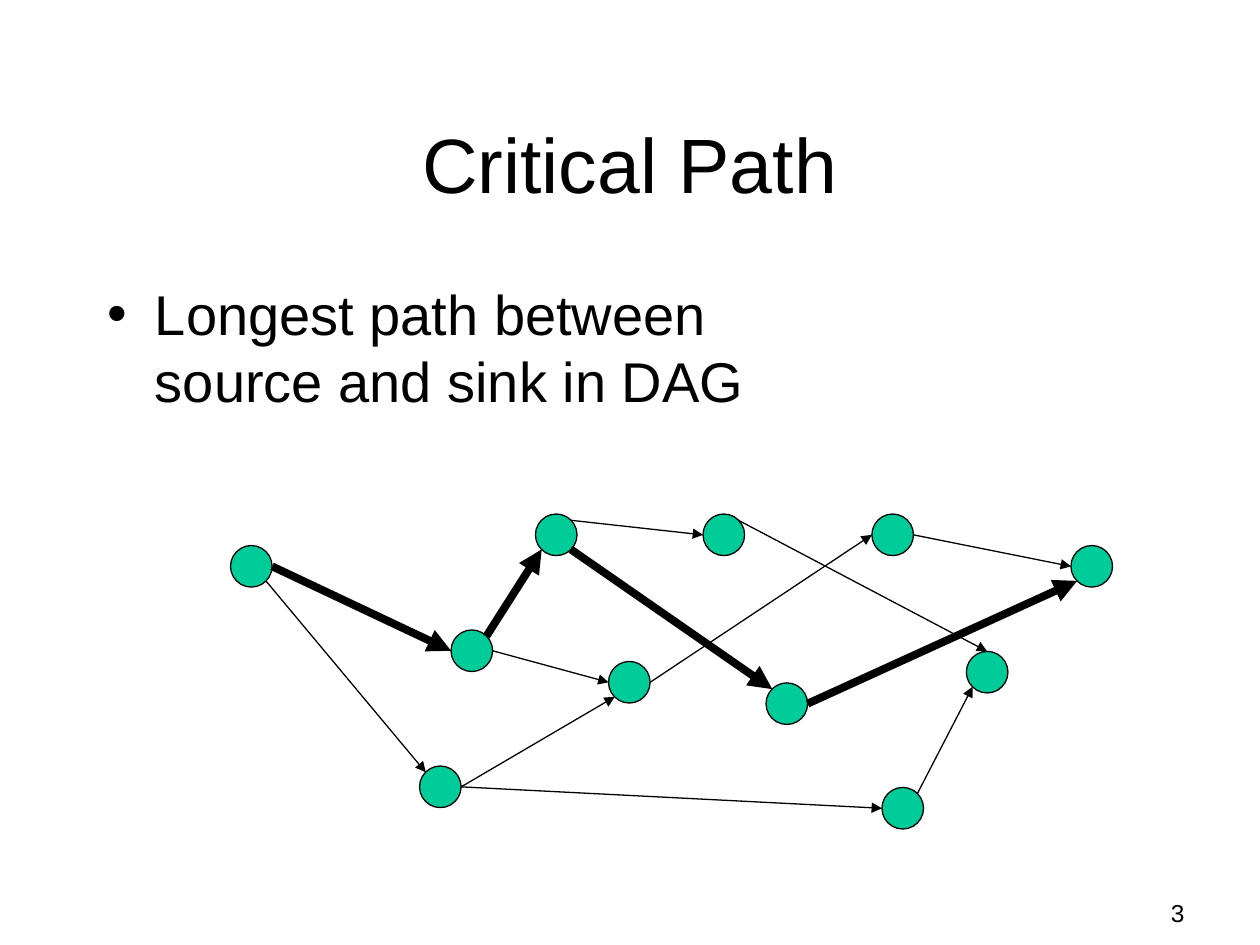
from lxml import etree
from pptx import Presentation
from pptx import util as u
from pptx.dml.color import RGBColor
from pptx.enum import shapes, text
from pptx.oxml import ns

THEME = {
    "font": "Arial", "ink": RGBColor(0, 0, 0), "node": RGBColor(0x00, 0xCC, 0x99),
    "title": u.Pt(44), "body": u.Pt(32), "number": u.Pt(14),
    "thin": u.Pt(0.75), "thick": u.Pt(4.5),
}
SIZE = 0.33

# Node positions: left, top
NODES = {
    "source": (1.83, 4.33), "a": (3.58, 5), "b": (4.25, 4.08), "c": (4.83, 5.25),
    "d": (5.58, 4.08), "e": (6.08, 5.42), "f": (3.33, 6.08), "g": (6.92, 4.08),
    "h": (7.67, 5.17), "sink": (8.5, 4.33), "i": (7, 6.25),
}
# Attachment points as fractions of a node's size
SITES = {
    "top": (0.5, 0), "left": (0, 0.5), "right": (1, 0.5),
    "top left": (0.15, 0.15), "top right": (0.85, 0.15),
    "bottom left": (0.15, 0.85), "bottom right": (0.85, 0.85),
}
# Edges: from node, its site, to node, its site, weight
EDGES = [
    ("source", "right", "a", "left", "thick"),
    ("a", "top right", "b", "bottom left", "thick"),
    ("a", "right", "c", "left", "thin"),
    ("source", "bottom right", "f", "top left", "thin"),
    ("f", "right", "i", "left", "thin"),
    ("c", "right", "g", "left", "thin"),
    ("b", "top right", "d", "left", "thin"),
    ("d", "top right", "h", "top", "thin"),
    ("e", "right", "sink", "bottom left", "thick"),
    ("f", "right", "c", "bottom left", "thin"),
    ("b", "bottom right", "e", "top left", "thick"),
    ("i", "top right", "h", "bottom left", "thin"),
    ("g", "right", "sink", "left", "thin"),
]


def write(box, place, lines, size, align, anchor):
    box.left, box.top, box.width, box.height = map(u.Inches, place)
    frame = box.text_frame
    formats = {
        "word_wrap": True, "vertical_anchor": anchor, "auto_size": text.MSO_AUTO_SIZE.NONE,
        "margin_left": u.Inches(0.1), "margin_right": u.Inches(0.1),
        "margin_top": u.Inches(0.05), "margin_bottom": u.Inches(0.05),
    }
    for name, value in formats.items():
        setattr(frame, name, value)
    para = frame.paragraphs[0]
    para.alignment = align
    para.space_before = u.Pt(0)
    for index, line in enumerate(lines):
        if index:
            para.add_line_break()
        span = para.add_run()
        span.text = line
        for name, value in {"name": THEME["font"], "size": THEME[size]}.items():
            setattr(span.font, name, value)
        span.font.color.rgb = THEME["ink"]
    return para


def site_point(node, site):
    return [u.Inches(start + SIZE * part) for start, part in zip(NODES[node], SITES[site])]


deck = Presentation()
deck.slide_width, deck.slide_height = u.Inches(10), u.Inches(7.5)
page = deck.slides.add_slide(deck.slide_layouts[1])

# Title and bullet
write(page.shapes.title, (0.75, 0.67, 8.5, 1.25), ["Critical Path"], "title",
      text.PP_ALIGN.CENTER, text.MSO_ANCHOR.MIDDLE)
bullet = write(page.placeholders[1], (0.75, 2.17, 8.5, 4.5),
               ["Longest path between ", "source and sink in DAG"], "body",
               text.PP_ALIGN.LEFT, text.MSO_ANCHOR.TOP)
properties = bullet._p.get_or_add_pPr()
properties.set("marL", str(u.Inches(0.38)))
properties.set("indent", str(u.Inches(-0.38)))
etree.SubElement(properties, ns.qn("a:buChar")).set("char", "•")

# Graph nodes
for left, top in NODES.values():
    node = page.shapes.add_shape(shapes.MSO_SHAPE.OVAL, u.Inches(left), u.Inches(top),
                                 u.Inches(SIZE), u.Inches(SIZE))
    node.shadow.inherit = False
    node.fill.solid()
    node.fill.fore_color.rgb = THEME["node"]
    node.line.color.rgb = THEME["ink"]
    node.line.width = THEME["thin"]

# Graph edges, with the critical path thick
for start, start_site, end, end_site, weight in EDGES:
    edge = page.shapes.add_connector(shapes.MSO_CONNECTOR.STRAIGHT,
                                     *site_point(start, start_site), *site_point(end, end_site))
    edge.line.color.rgb = THEME["ink"]
    edge.line.width = THEME[weight]
    etree.SubElement(edge.line._get_or_add_ln(), ns.qn("a:tailEnd")).set("type", "triangle")
    etree.SubElement(edge._element.spPr, ns.qn("a:effectLst"))

# Page number
number = page.shapes.add_textbox(0, 0, 0, 0)
write(number, (9, 7.08, 0.5, 0.42), ["3"], "number", text.PP_ALIGN.RIGHT, text.MSO_ANCHOR.TOP)

deck.save("out.pptx")
